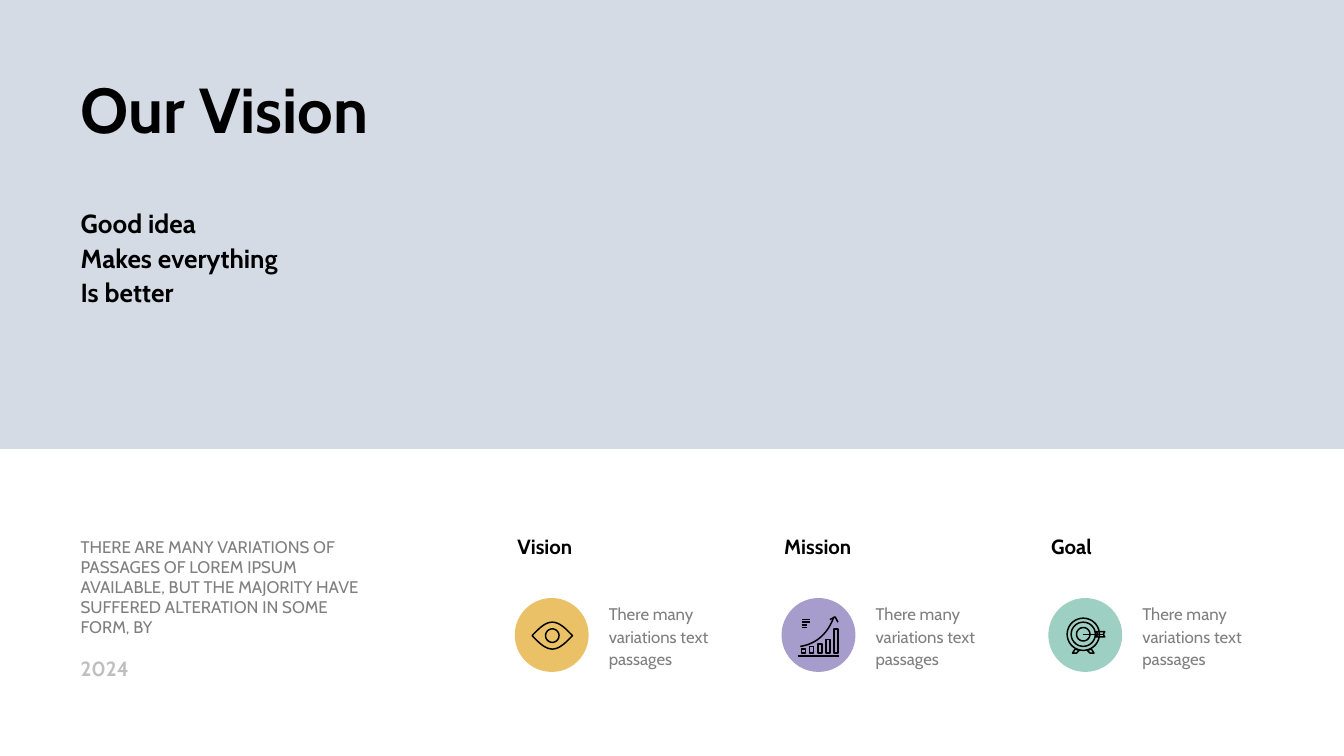
from math import cos, pi, sin
from lxml.etree import SubElement
from pptx import Presentation
from pptx.dml.color import RGBColor
from pptx.enum.shapes import MSO_SHAPE
from pptx.enum.text import MSO_ANCHOR, MSO_AUTO_SIZE, PP_ALIGN
from pptx.oxml.ns import qn
from pptx.util import Inches, Pt

BLACK, GRAY, PALE = "000000", "7F7F7F", "BFBFBF"
PITCH = 3.97 / 2
COPY = "There many variations text passages"
INTRO = ("THERE ARE MANY VARIATIONS OF PASSAGES OF LOREM IPSUM AVAILABLE, "
         "BUT THE MAJORITY HAVE SUFFERED ALTERATION IN SOME FORM, BY")
FRAME = {"word_wrap": True, "auto_size": MSO_AUTO_SIZE.NONE,
         "vertical_anchor": MSO_ANCHOR.TOP,
         "margin_left": Inches(0.08), "margin_right": Inches(0.08),
         "margin_top": Inches(0.04), "margin_bottom": Inches(0.04)}


def tint(code):
    return RGBColor.from_string(code)


def apply(item, values):
    for name, value in values.items():
        setattr(item, name, value)


def place(shape, *box):
    names = ("left", "top", "width", "height")
    apply(shape, dict(zip(names, map(Inches, box))))


def write(shape, lines, size, color=BLACK, bold=False, gap=1.0):
    frame = shape.text_frame
    apply(frame, FRAME)
    frame.text = "\n".join(lines)
    for par in frame.paragraphs:
        apply(par, {"alignment": PP_ALIGN.LEFT, "line_spacing": gap,
                    "space_before": Pt(0), "space_after": Pt(0)})
        font = par.runs[0].font
        apply(font, {"name": "Cabin", "size": Pt(size), "bold": bold})
        font.color.rgb = tint(color)


def label(slide, box, text, *style, **more):
    shape = slide.shapes.add_textbox(*map(Inches, box))
    write(shape, [text], *style, **more)


def form(slide, kind, box, fill):
    shape = slide.shapes.add_shape(kind, *map(Inches, box))
    shape.shadow.inherit = False
    shape.fill.solid()
    shape.fill.fore_color.rgb = tint(fill)
    shape.line.fill.background()
    return shape


def trace(slide, x, y, paths):
    pen = None
    for points, close in paths:
        spots = [(Inches(x + a), Inches(y + b)) for a, b in points]
        if pen is None:
            pen = slide.shapes.build_freeform(*spots[0])
        else:
            pen.move_to(*spots[0])
        pen.add_line_segments(spots[1:], close=close)
    shape = pen.convert_to_shape()
    shape.shadow.inherit = False
    shape.fill.background()
    shape.line.color.rgb = tint(BLACK)
    shape.line.width = Pt(0.8)


def ring(x, y, radius):
    turns = [n * pi / 18 for n in range(36)]
    return [(x + radius * cos(t), y + radius * sin(t)) for t in turns], True


def eye():
    steps = [n / 12 for n in range(-12, 13)]
    top = [(0.28 + 0.15 * u, 0.28 - 0.1 * cos(u * pi / 2)) for u in steps]
    low = [(a, 0.56 - b) for a, b in reversed(top[1:-1])]
    return [(top + low, True), ring(0.28, 0.28, 0.05)]


def growth():
    paths = [([(0.12, 0.43), (0.43, 0.43)], False)]
    for n, far in enumerate((0.21, 0.21, 0.19, 0.19)):
        high = 0.16 + 0.02 * n
        paths.append(([(0.15, high), (far, high)], False))
    for n, tall in enumerate((0.03, 0.05, 0.07, 0.1, 0.18)):
        a, b = 0.15 + 0.06 * n, 0.41 - tall
        bar = [(a, b), (a + 0.03, b), (a + 0.03, 0.41), (a, 0.41)]
        paths.append((bar, True))
    curve = []
    for n in range(13):
        t = n / 12
        a, b, c = (1 - t) ** 2, 2 * t * (1 - t), t * t
        curve.append((0.14 * a + 0.32 * b + 0.39 * c,
                      0.36 * a + 0.33 * b + 0.14 * c))
    head = [(0.36, 0.16), (0.4, 0.14), (0.42, 0.18)]
    return paths + [(curve, False), (head, False)]


def target():
    foot = [(0.2, 0.38), (0.18, 0.41), (0.21, 0.41), (0.23, 0.39)]
    fan = [(0.37, 0.27), (0.35, 0.25), (0.42, 0.25),
           (0.41, 0.27), (0.42, 0.29), (0.35, 0.29)]
    return [ring(0.26, 0.27, radius) for radius in (0.12, 0.09, 0.05)] + [
        (foot, True), ([(0.52 - a, b) for a, b in foot], True),
        ([(0.26, 0.27), (0.41, 0.27)], False), (fan, True)]


def hero(slide, x, y, wide, tall):
    title, body = slide.placeholders
    band = form(slide, MSO_SHAPE.RECTANGLE, (x, y, wide, tall), "D5DBE5")
    title.element.addprevious(band.element)
    place(title, x + 0.52, y + 0.48, 3.25, 0.65)
    write(title, ["Our Vision"], 34, bold=True)
    place(body, x + 0.52, y + 1.48, 2.35, 0.83)
    write(body, ["Good idea", "Makes everything", "Is better"], 14,
          bold=True, gap=1.1)
    for par in body.text_frame.paragraphs:
        props = par._p.get_or_add_pPr()
        props.set("marL", "0")
        props.set("indent", "0")
        SubElement(props, qn("a:buNone"))


def intro(slide, x, y, wide):
    label(slide, (x, y, wide, 0.71), INTRO, 9, GRAY)
    label(slide, (x, y + 0.89, wide, 0.25), "2024", 11, PALE, bold=True)


def column(slide, x, y, name, color, icon):
    label(slide, (x, y, 0.85, 0.25), name, 11, bold=True)
    form(slide, MSO_SHAPE.OVAL, (x + 0.06, y + 0.52, 0.55, 0.55), color)
    trace(slide, x + 0.06, y + 0.52, icon())
    label(slide, (x + 0.68, y + 0.51, 1, 0.56), COPY, 9, GRAY, gap=1.1)


def main():
    deck = Presentation()
    deck.slide_width = Inches(10)
    deck.slide_height = deck.slide_width * 9 // 16
    slide = deck.slides.add_slide(deck.slide_layouts[1])
    hero(slide, 0, 0, 10, 3.34)
    intro(slide, 0.52, 3.95, 2.37)
    items = (("Vision", "EAC167", eye), ("Mission", "A69DCC", growth),
             ("Goal", "9DD0C2", target))
    for n, item in enumerate(items):
        column(slide, 3.77 + n * PITCH, 3.93, *item)
    deck.save("out.pptx")


if __name__ == "__main__":
    main()
